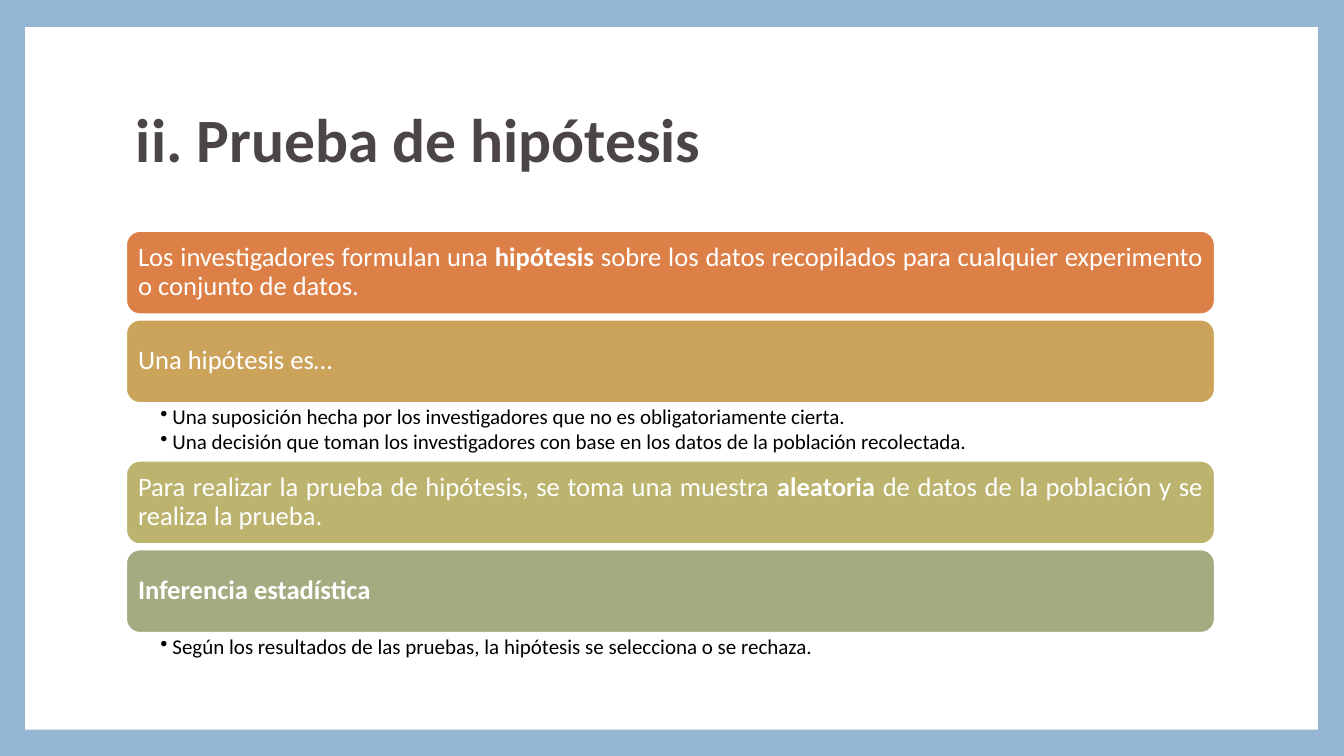
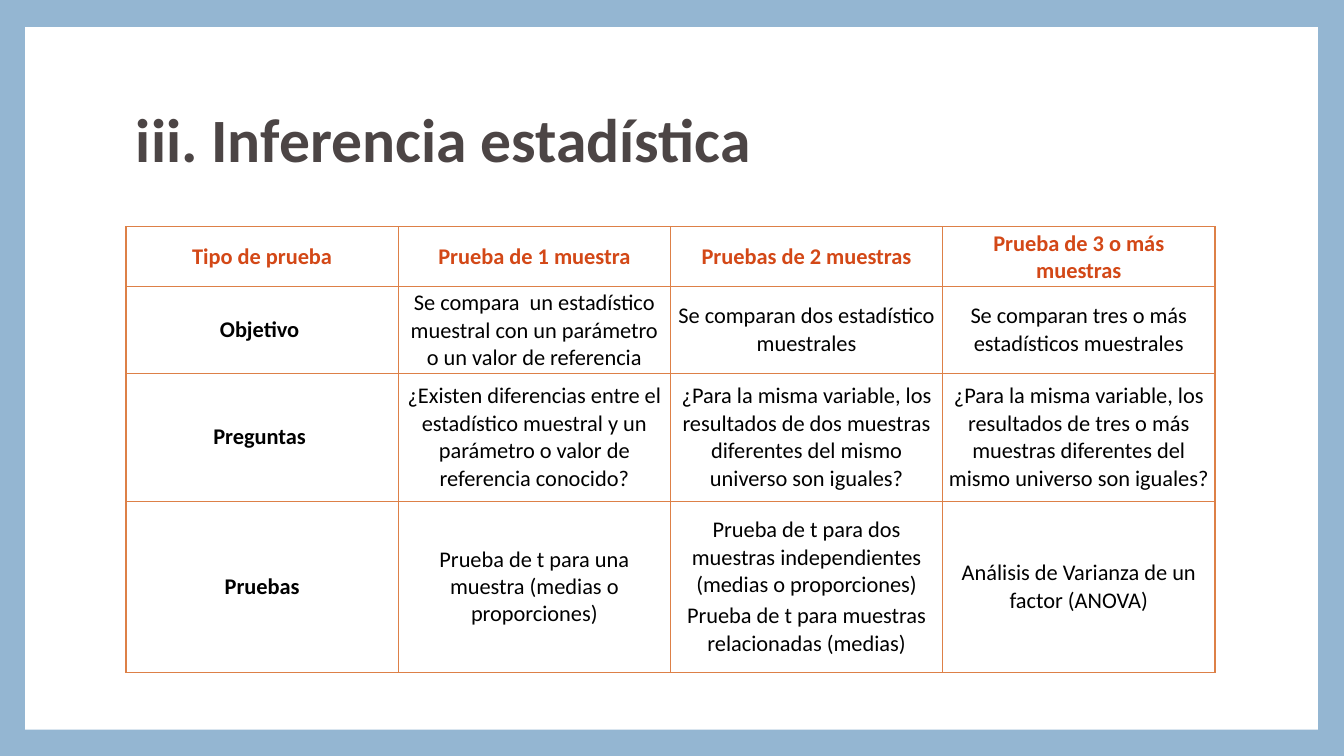
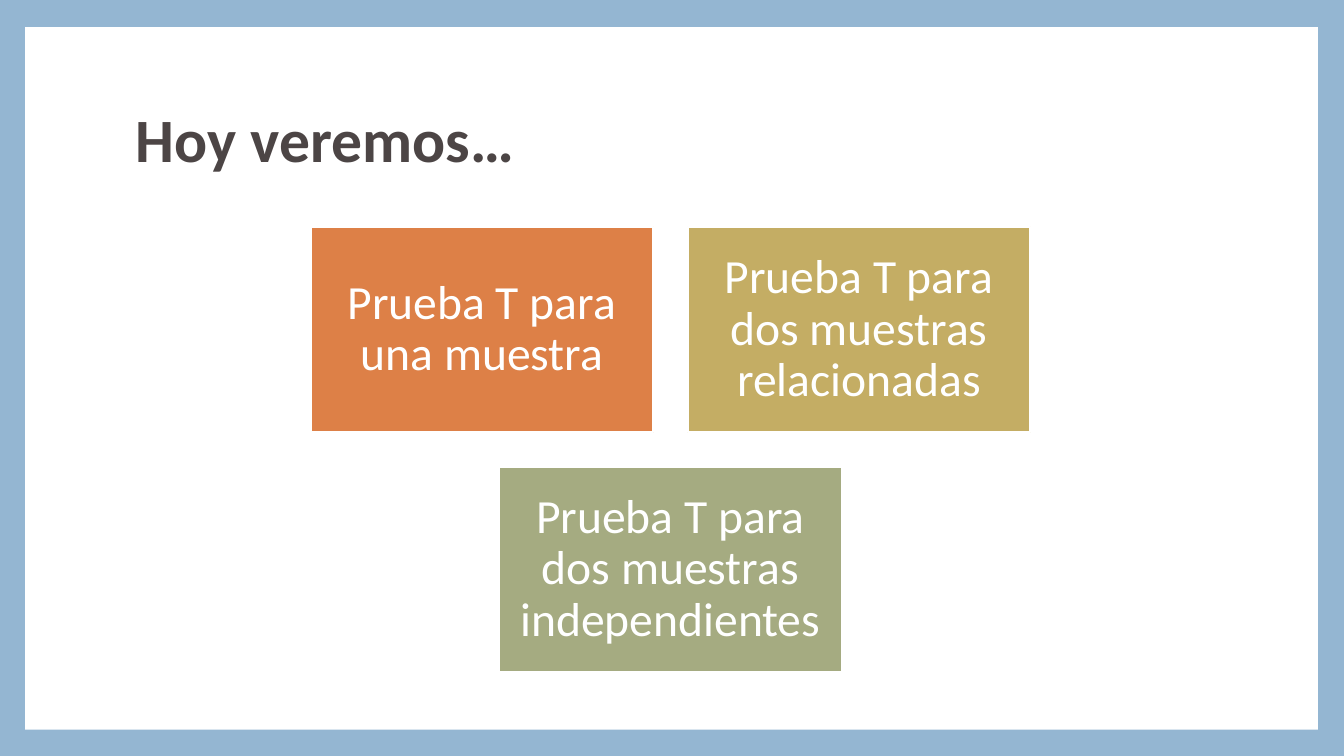
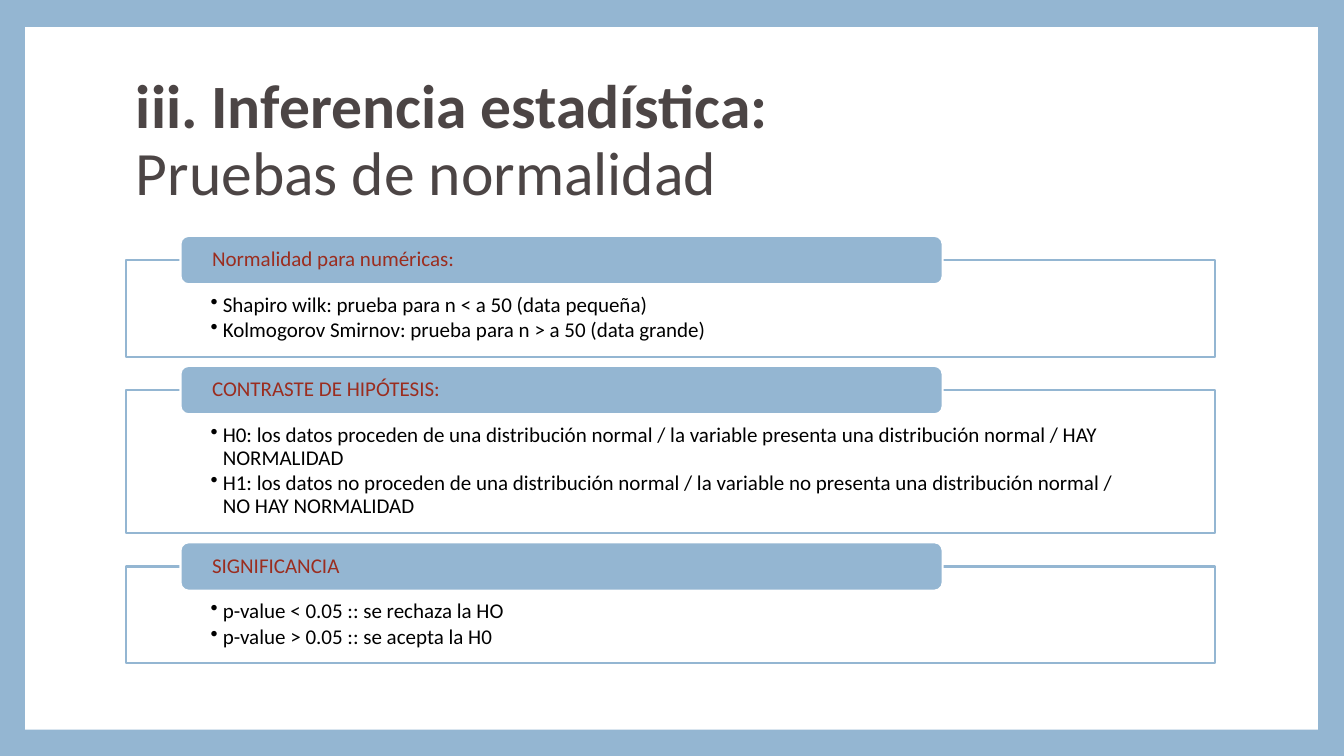
from dataclasses import dataclass
from typing import NamedTuple, Optional

from lxml.etree import SubElement
from pptx import Presentation
from pptx.dml.color import RGBColor as Rgb
from pptx.enum.shapes import MSO_SHAPE as Form
from pptx.enum.text import MSO_ANCHOR as Anchor, PP_ALIGN as Align
from pptx.oxml.ns import qn
from pptx.shapes.autoshape import Shape
from pptx.slide import Slide
from pptx.table import _Cell as Cell
from pptx.text.text import TextFrame as Frame
from pptx.util import Inches, Pt


# Theme: colours, type sizes and common measures
@dataclass(frozen=True)
class Theme:
    font: str = "Calibri"
    blue: str = "94B6D2"
    white: str = "FFFFFF"
    black: str = "000000"
    gray: str = "4C4545"
    orange: str = "DD8047"
    amber: str = "CCA35B"
    gold: str = "C4AD64"
    olive: str = "BBB36E"
    sage: str = "A5AB81"
    rust: str = "D34817"
    red: str = "9B2D1F"
    title: int = 44
    card: int = 34
    bar: int = 19
    cell: int = 16
    note: int = 15
    edge: float = 1.5
    left: float = 1.25
    width: float = 10.8


THEME = Theme()


class Box(NamedTuple):
    x: float
    y: float
    w: float
    h: float

    def place(self) -> list:
        return [Inches(n) for n in self]


class Run(NamedTuple):
    text: str
    bold: bool = False


Lines = list[list[Run]]


class Pad(NamedTuple):
    left: float = 0.1
    top: float = 0.05
    right: float = 0.1
    foot: float = 0.05


@dataclass(frozen=True)
class Style:
    size: int
    color: str
    align: Align = Align.LEFT
    lead: float = 0.9
    gap: float = 0
    dot: bool = False
    pad: Pad = Pad()
    anchor: Anchor = Anchor.MIDDLE


HEAD = Style(THEME.title, THEME.gray)
BAR = Style(THEME.bar, THEME.white, Align.JUSTIFY, pad=Pad(0.08, 0.08, 0.08, 0.08))
NOTE = Style(THEME.note, THEME.black, Align.JUSTIFY, gap=2, dot=True,
             pad=Pad(0.34, 0.03, 0.15, 0.03), anchor=Anchor.TOP)
CARD = Style(THEME.card, THEME.white, Align.CENTER, pad=Pad(0.14, 0.14, 0.14, 0.14))
TAB = Style(THEME.note, THEME.red, pad=Pad(0.29, 0, 0.29, 0))
LIST = Style(THEME.note, THEME.black, gap=2, dot=True,
             pad=Pad(0.84, 0.34, 0.84, 0.12), anchor=Anchor.TOP)
CELL = Style(THEME.cell, THEME.black, Align.CENTER, lead=1, gap=2.8)
TOP = Style(THEME.cell, THEME.rust, Align.CENTER, lead=1)


# Slide content
class Step(NamedTuple):
    color: str
    runs: list[Run]
    notes: tuple[str, ...] = ()
    depth: float = 0


class Card(NamedTuple):
    color: str
    text: str


class Group(NamedTuple):
    label: str
    items: tuple[str, ...]
    height: float


STEPS = [
    Step(THEME.orange, [
        Run("Los investigadores formulan una "), Run("hipótesis", True),
        Run(" sobre los datos recopilados para cualquier experimento o conjunto de datos.")]),
    Step(THEME.amber, [Run("Una hipótesis es…")], (
        "Una suposición hecha por los investigadores que no es obligatoriamente cierta.",
        "Una decisión que toman los investigadores con base en los datos de la población recolectada."),
        0.57),
    Step(THEME.olive, [
        Run("Para realizar la prueba de hipótesis, se toma una muestra "), Run("aleatoria", True),
        Run(" de datos de la población y se realiza la prueba.")]),
    Step(THEME.sage, [Run("Inferencia estadística", True)], (
        "Según los resultados de las pruebas, la hipótesis se selecciona o se rechaza.",), 0.34),
]

HEIGHTS = [0.59, 0.86, 1.27, 1.7]
TESTS = [
    [["Tipo de prueba"], ["Prueba de 1 muestra"], ["Pruebas de 2 muestras"],
     ["Prueba de 3 o más muestras"]],
    [["Objetivo "],
     ["Se compara  un estadístico muestral con un parámetro o un valor de referencia"],
     ["Se comparan dos estadístico muestrales"],
     ["Se comparan tres o más estadísticos muestrales"]],
    [["Preguntas "],
     ["¿Existen diferencias entre el estadístico muestral y un parámetro o valor de referencia conocido?"],
     ["¿Para la misma variable, los resultados de dos muestras diferentes del mismo universo son iguales?"],
     ["¿Para la misma variable, los resultados de tres o más muestras diferentes del mismo universo son iguales?"]],
    [["Pruebas"], ["Prueba de t para una muestra (medias o proporciones)"],
     ["Prueba de t para dos muestras independientes (medias o proporciones)",
      "Prueba de t para muestras relacionadas (medias)"],
     ["Análisis de Varianza de un factor (ANOVA)"]],
]

CARDS = [
    [Card(THEME.orange, "Prueba T para una muestra"),
     Card(THEME.gold, "Prueba T para dos muestras relacionadas")],
    [Card(THEME.sage, "Prueba T para dos muestras independientes")],
]

GROUPS = [
    Group("Normalidad para numéricas:", (
        "Shapiro wilk: prueba para n < a 50 (data pequeña)",
        "Kolmogorov Smirnov: prueba para n > a 50 (data grande)"), 0.96),
    Group("CONTRASTE DE HIPÓTESIS:", (
        "H0: los datos proceden de una distribución normal / la variable presenta "
        "una distribución normal / HAY NORMALIDAD",
        "H1: los datos no proceden de una distribución normal / la variable no presenta "
        "una distribución normal / NO HAY NORMALIDAD"), 1.42),
    Group("SIGNIFICANCIA", (
        "p-value < 0.05 :: se rechaza la HO",
        "p-value > 0.05 :: se acepta la H0"), 0.96),
]


# Text and shape helpers
def plain(*texts: str, bold: bool = False) -> Lines:
    return [[Run(text, bold)] for text in texts]


def write(frame: Frame, lines: Lines, style: Style) -> None:
    for n, runs in enumerate(lines):
        para = frame.add_paragraph() if n else frame.paragraphs[0]
        if style.dot:
            props = para._p.get_or_add_pPr()
            props.set("marL", str(Inches(0.12)))
            props.set("indent", str(-Inches(0.12)))
            SubElement(props, qn("a:buChar")).set("char", "•")
        para.alignment = style.align
        para.line_spacing = style.lead
        if n:
            para.space_before = Pt(style.gap)
        for part in runs:
            run = para.add_run()
            run.text = part.text
            font = run.font
            font.name, font.size, font.bold = THEME.font, Pt(style.size), part.bold
            font.color.rgb = Rgb.from_string(style.color)


def fit(frame: Frame, lines: Lines, style: Style) -> None:
    frame.word_wrap = True
    frame.vertical_anchor = style.anchor
    frame.margin_left, frame.margin_top, frame.margin_right, frame.margin_bottom = (
        Inches(n) for n in style.pad)
    write(frame, lines, style)


def add_text(slide: Slide, box: Box, lines: Lines, style: Style) -> None:
    fit(slide.shapes.add_textbox(*box.place()).text_frame, lines, style)


def add_block(slide: Slide, form: Form, box: Box, fill: str,
              line: Optional[str] = THEME.white) -> Shape:
    shape = slide.shapes.add_shape(form, *box.place())
    shape.shadow.inherit = False
    shape.fill.solid()
    shape.fill.fore_color.rgb = Rgb.from_string(fill)
    if line:
        shape.line.color.rgb = Rgb.from_string(line)
        shape.line.width = Pt(THEME.edge)
    else:
        shape.line.fill.background()
    return shape


def add_edge(cell: Cell, color: str) -> None:
    props = cell._tc.get_or_add_tcPr()
    for side in ("lnL", "lnR", "lnT", "lnB"):
        line = SubElement(props, qn(f"a:{side}"), w=str(Pt(1)))
        fill = SubElement(line, qn("a:solidFill"))
        SubElement(fill, qn("a:srgbClr"), val=color)


# Shared frame: white panel on blue, with the title
def add_slide(deck: Presentation, title: Lines) -> Slide:
    slide = deck.slides.add_slide(deck.slide_layouts[6])
    add_block(slide, Form.RECTANGLE, Box(0.25, 0.27, 12.82, 6.97), THEME.white, None)
    add_text(slide, Box(THEME.left, 0.67, THEME.width, 1.48), title, HEAD)
    return slide


# Slide bodies
def draw_steps(slide: Slide) -> None:
    y, high, gap = 2.29, 0.83, 0.05
    for step in STEPS:
        bar = add_block(slide, Form.ROUNDED_RECTANGLE,
                        Box(THEME.left, y, THEME.width, high), step.color)
        fit(bar.text_frame, [step.runs], BAR)
        y += high
        if step.notes:
            add_text(slide, Box(THEME.left, y, THEME.width, step.depth),
                     plain(*step.notes), NOTE)
        y += step.depth or gap


def draw_table(slide: Slide) -> None:
    box = Box(THEME.left, 2.25, THEME.width, sum(HEIGHTS))
    table = slide.shapes.add_table(len(TESTS), len(TESTS[0]), *box.place()).table
    table.first_row = table.horz_banding = False
    for r, (high, row) in enumerate(zip(HEIGHTS, TESTS)):
        table.rows[r].height = Inches(high)
        for c, texts in enumerate(row):
            cell = table.cell(r, c)
            add_edge(cell, THEME.orange)
            cell.fill.background()
            cell.vertical_anchor = Anchor.MIDDLE
            cell.margin_left = cell.margin_right = Inches(0.06)
            cell.margin_top = cell.margin_bottom = Inches(0.03)
            write(cell.text_frame, plain(*texts, bold=r == 0 or c == 0), CELL if r else TOP)


def draw_cards(slide: Slide) -> None:
    wide, high, gap = 3.4, 2.04, 0.34
    mid = THEME.left + THEME.width / 2
    for r, row in enumerate(CARDS):
        left = mid - (len(row) * (wide + gap) - gap) / 2
        for c, card in enumerate(row):
            box = Box(left + c * (wide + gap), 2.25 + r * (high + gap), wide, high)
            shape = add_block(slide, Form.RECTANGLE, box, card.color)
            fit(shape.text_frame, plain(card.text), CARD)


def draw_groups(slide: Slide) -> None:
    y, gap, tab = 2.58, 0.33, 0.48
    for group in GROUPS:
        body = add_block(slide, Form.RECTANGLE,
                         Box(THEME.left, y, THEME.width, group.height),
                         THEME.white, THEME.blue)
        fit(body.text_frame, plain(*group.items), LIST)
        label = add_block(slide, Form.ROUNDED_RECTANGLE,
                          Box(1.79, y - tab / 2, 7.56, tab), THEME.blue)
        fit(label.text_frame, plain(group.label), TAB)
        y += group.height + gap


def main() -> None:
    deck = Presentation()
    deck.slide_width, deck.slide_height = Inches(13.33), Inches(7.5)
    back = deck.slide_master.background.fill
    back.solid()
    back.fore_color.rgb = Rgb.from_string(THEME.blue)
    pages = [
        ([[Run("ii. Prueba de hipótesis", True)]], draw_steps),
        ([[Run("iii. Inferencia estadística", True)]], draw_table),
        ([[Run("Hoy veremos…", True)]], draw_cards),
        ([[Run("iii. Inferencia estadística:", True)], [Run("Pruebas de normalidad")]],
         draw_groups),
    ]
    for title, draw in pages:
        draw(add_slide(deck, title))
    deck.save("out.pptx")


if __name__ == "__main__":
    main()
